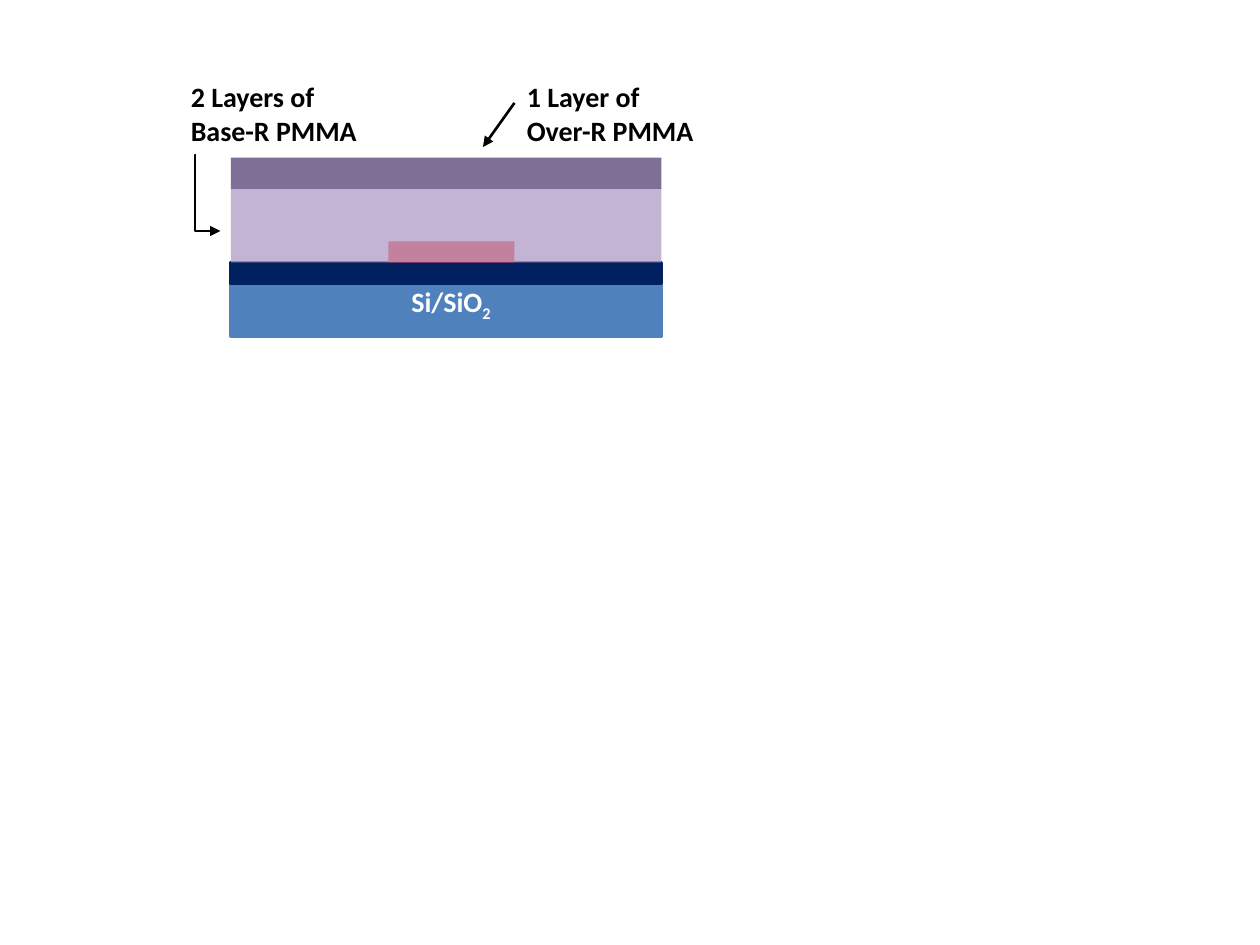
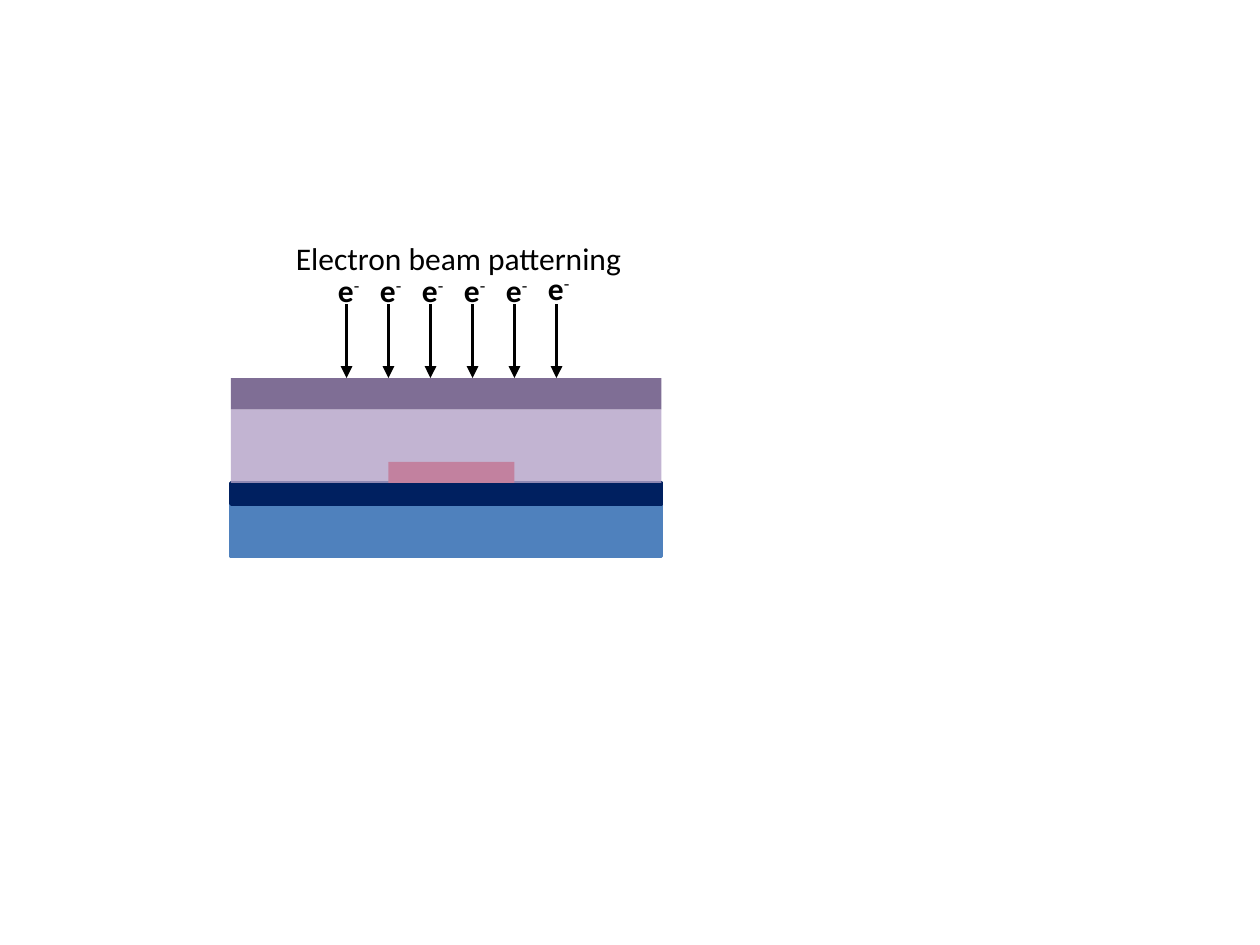
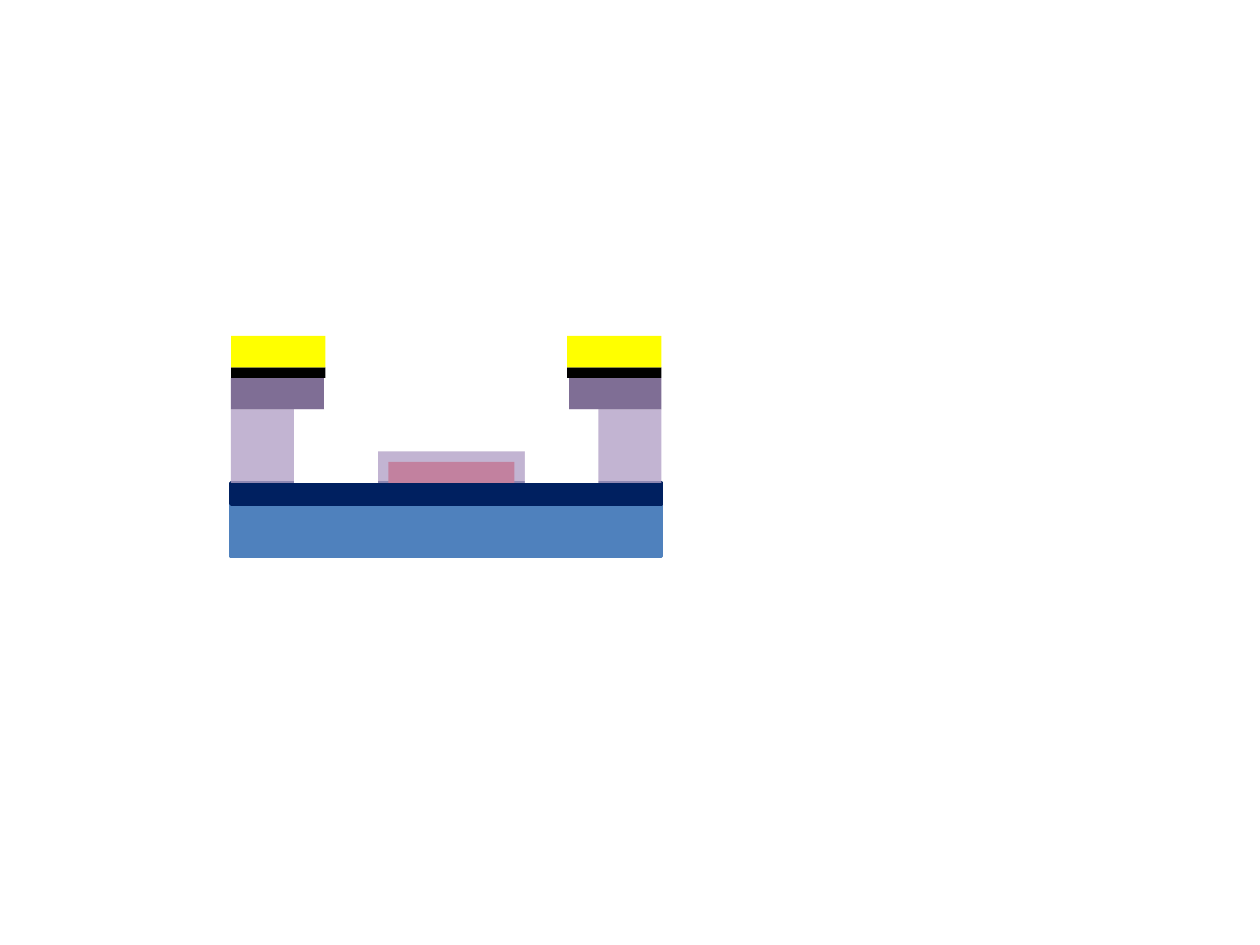
from dataclasses import dataclass

from lxml.etree import SubElement
from pptx import Presentation
from pptx.dml.color import RGBColor as Rgb
from pptx.enum.shapes import MSO_CONNECTOR as Link, MSO_SHAPE as Shape
from pptx.enum.text import MSO_AUTO_SIZE as AutoSize
from pptx.oxml.ns import qn
from pptx.util import Cm, Pt


@dataclass(frozen=True)
class Theme:
    font: str = "Calibri"
    label_size: int = 16
    beam_size: int = 18
    outline: float = 2
    pointer: float = 1.5
    beam: float = 2.25
    resist_opacity: int = 80
    black: str = "000000"
    white: str = "FFFFFF"
    silicon: str = "4F81BD"
    oxide: str = "002060"
    flake: str = "FF0000"
    lower_resist: str = "B3A2C7"
    upper_resist: str = "604A7B"
    gold: str = "FFFF00"


THEME = Theme()
GRID = 2.54 / 12  # one grid step in cm
STACK_LEFT = 22
STACK_WIDTH = 41


@dataclass
class Region:
    """A group of shapes placed in grid steps from its own top left corner."""
    shapes: object
    left: float
    top: float

    def x(self, steps):
        return Cm((self.left + steps) * GRID)

    def y(self, steps):
        return Cm((self.top + steps) * GRID)

    def box(self, left, top, width, height):
        return self.x(left), self.y(top), Cm(width * GRID), Cm(height * GRID)


def add_region(slide, top):
    return Region(slide.shapes.add_group_shape().shapes, STACK_LEFT, top)


def add_block(region, box, color, outlined=False, opacity=100):
    block = region.shapes.add_shape(Shape.RECTANGLE, *region.box(*box))
    block.shadow.inherit = False
    block.fill.solid()
    block.fill.fore_color.rgb = Rgb.from_string(color)
    if opacity < 100:
        tint = block.fill._xPr.find(".//" + qn("a:srgbClr"))
        SubElement(tint, qn("a:alpha"), val=str(opacity * 1000))
    if outlined:
        block.line.color.rgb = Rgb.from_string(color)
        block.line.width = Pt(THEME.outline)
    else:
        block.line.fill.background()


def add_arrow(region, start, end, weight, kind=Link.STRAIGHT):
    arrow = region.shapes.add_connector(
        kind, region.x(start[0]), region.y(start[1]), region.x(end[0]), region.y(end[1]))
    arrow.line.color.rgb = Rgb.from_string(THEME.black)
    arrow.line.width = Pt(weight)
    SubElement(arrow.line._get_or_add_ln(), qn("a:tailEnd"), type="triangle")
    SubElement(arrow._element.spPr, qn("a:effectLst"))
    return arrow


def add_label(region, box, lines, size, color=THEME.black, bold=True, wrap=True):
    """Write lines, each a list of (text, baseline percent) parts; only level parts can be bold
    when raised, while lowered parts keep the weight of the line."""
    frame = region.shapes.add_textbox(*region.box(*box)).text_frame
    frame.word_wrap = wrap
    frame.auto_size = AutoSize.SHAPE_TO_FIT_TEXT
    for index, parts in enumerate(lines):
        paragraph = frame.add_paragraph() if index else frame.paragraphs[0]
        for text, baseline in parts:
            run = paragraph.add_run()
            run.text = text
            run.font.name = THEME.font
            run.font.size = Pt(size)
            run.font.bold = bold and baseline <= 0
            run.font.color.rgb = Rgb.from_string(color)
            if baseline:
                run._r.get_or_add_rPr().set("baseline", str(baseline * 1000))


def draw_stack(region):
    """Draw substrate, oxide, flake and the two resist layers, from the bottom up."""
    add_block(region, (0, 12, STACK_WIDTH, 5), THEME.silicon, outlined=True)
    add_block(region, (0, 10, STACK_WIDTH, 2), THEME.oxide, outlined=True)
    add_block(region, (15, 8, 12, 2), THEME.flake)
    for top, height, color in ((3, 7, THEME.lower_resist), (0, 3, THEME.upper_resist)):
        add_block(region, (0, top, STACK_WIDTH, height), color, opacity=THEME.resist_opacity)


def draw_layer_labels(region):
    add_label(region, (16, 11.5, 21, 4.4), [[("Si/SiO", 0), ("2", -25)]],
              THEME.label_size, THEME.white)
    for left, count, resist in ((-5, "2 Layers of", "Base-R PMMA"),
                                (27, "1 Layer of", "Over-R PMMA")):
        add_label(region, (left, -8, 21, 7.7), [[(count, 0)], [(resist, 0)]], THEME.label_size)
    add_arrow(region, (27, -5.2), (24, -1), THEME.pointer)
    elbow = add_arrow(region, (-3.4, -0.25), (-1, 7), THEME.pointer, Link.ELBOW)
    guides = elbow._element.spPr.find(qn("a:prstGeom")).get_or_add_avLst()
    SubElement(guides, qn("a:gd"), name="adj1", fmla="val -800")


def draw_electron_beam(region, count=6, first=11, pitch=4):
    columns = [first + pitch * index for index in range(count)]
    for column in columns:
        add_arrow(region, (column, -7), (column, 0), THEME.beam)
    add_label(region, (5, -13.8, 37, 4.8), [[("Electron beam patterning", 0)]],
              THEME.beam_size, bold=False)
    for column in columns:
        top = -11 if column == columns[-1] else -10.8
        add_label(region, (column - 2, top, 4.55, 4.8), [[("e", 0), ("-", 30)]],
                  THEME.beam_size, wrap=False)


def draw_developed_gap(region):
    """Clear the exposed resist, with an undercut below the upper layer."""
    add_block(region, (9, 0, 23, 3), THEME.white, outlined=True)
    for box in ((9, 2, 23, 5), (28, 3, 7, 7), (6, 3, 8, 7)):
        add_block(region, box, THEME.white)


def draw_metal(region, width=9):
    for top, height, color in ((-1, 1, THEME.black), (-4, 3, THEME.gold)):
        for left in (0, STACK_WIDTH - width):
            add_block(region, (left, top, width, height), color)


def main():
    deck = Presentation()
    deck.slide_width, deck.slide_height = Cm(25.4), Cm(19.05)
    steps = (
        (15, (draw_layer_labels,)),
        (36, (draw_electron_beam,)),
        (36, (draw_developed_gap, draw_metal)),
    )
    for top, details in steps:
        slide = deck.slides.add_slide(deck.slide_layouts[6])
        for draw in (draw_stack, *details):
            draw(add_region(slide, top))
    deck.save("out.pptx")


if __name__ == "__main__":
    main()
